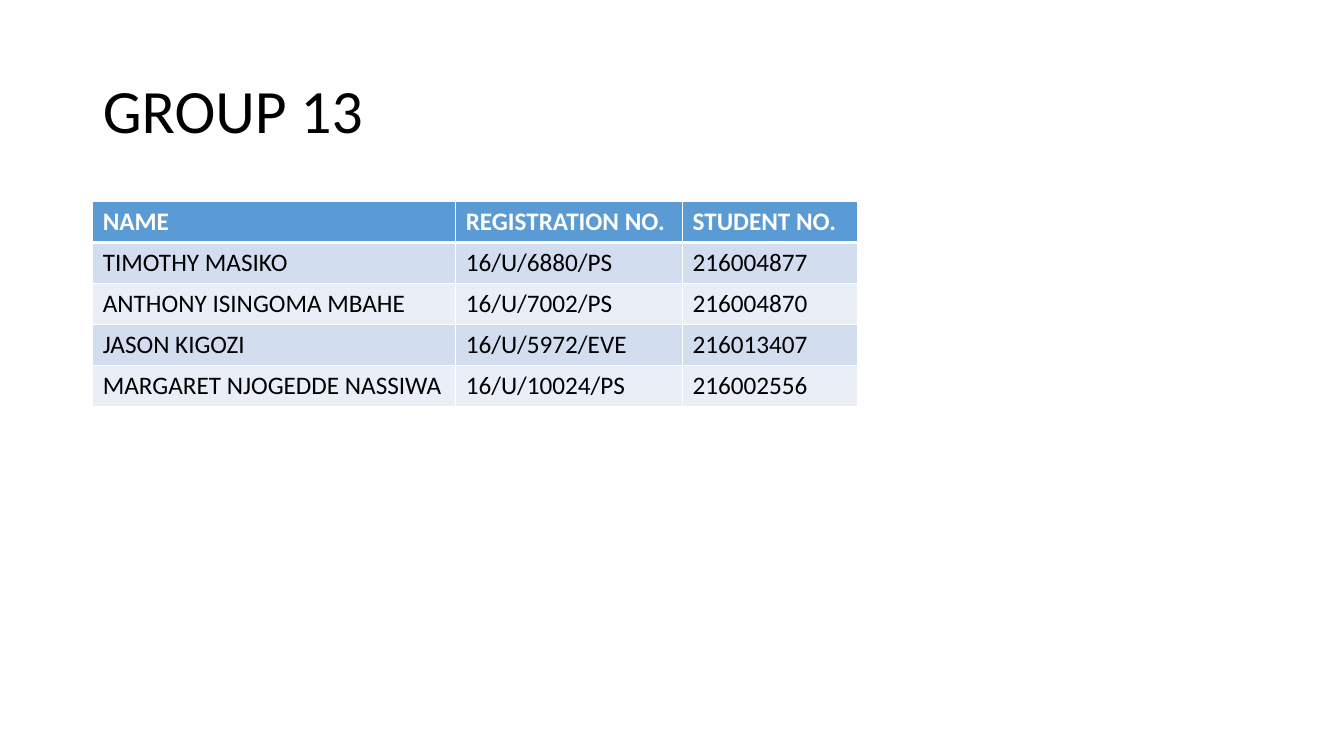
from lxml.etree import SubElement
from pptx import Presentation
from pptx.dml.color import RGBColor
from pptx.enum.text import MSO_ANCHOR, PP_ALIGN
from pptx.oxml.ns import qn
from pptx.util import Inches, Pt

FONT = "Calibri"
COLORS = {
    "text": "000000",
    "white": "FFFFFF",
    "header": "5B9BD5",
    "odd_row": "D2DEEF",
    "even_row": "EAEFF7",
}
SLIDE_WIDTH, SLIDE_HEIGHT = Inches(13.33), Inches(7.5)
LEFT_MARGIN = Inches(0.92)
COLUMN_WIDTHS = [Inches(3.6), Inches(2.25), Inches(1.74)]
ROW_HEIGHT = Inches(0.406)
MEMBERS = [
    ("NAME", "REGISTRATION NO.", "STUDENT NO."),
    ("TIMOTHY MASIKO", "16/U/6880/PS", "216004877"),
    ("ANTHONY ISINGOMA MBAHE", "16/U/7002/PS", "216004870"),
    ("JASON KIGOZI", "16/U/5972/EVE", "216013407"),
    ("MARGARET NJOGEDDE NASSIWA", "16/U/10024/PS", "216002556"),
]


def format_runs(paragraph, size, color, bold=False):
    for run in paragraph.runs:
        run.font.name = FONT
        run.font.size = Pt(size)
        run.font.bold = bold
        run.font.color.rgb = RGBColor.from_string(COLORS[color])


def add_title(slide, text):
    title = slide.shapes.title
    title.left, title.top = LEFT_MARGIN, Inches(0.4)
    title.width, title.height = SLIDE_WIDTH - 2 * LEFT_MARGIN, Inches(1.45)
    title.text_frame.text = text
    title.text_frame.word_wrap = True
    title.text_frame.vertical_anchor = MSO_ANCHOR.MIDDLE
    paragraph = title.text_frame.paragraphs[0]
    paragraph.alignment = PP_ALIGN.LEFT
    paragraph.line_spacing = 0.9
    format_runs(paragraph, 44, "text")


def set_borders(cell, bottom_width):
    """Draw white cell borders; only the bottom one varies in width (points)."""
    properties = cell._tc.get_or_add_tcPr()
    for side, width in (("L", 1), ("R", 1), ("T", 1), ("B", bottom_width)):
        line = SubElement(properties, qn(f"a:ln{side}"), w=str(Pt(width)))
        fill = SubElement(line, qn("a:solidFill"))
        SubElement(fill, qn("a:srgbClr"), val=COLORS["white"])


def fill_cell(cell, text, row_index):
    is_header = row_index == 0
    cell.text_frame.text = text
    format_runs(cell.text_frame.paragraphs[0], 18,
                "white" if is_header else "text", bold=is_header)
    # The header's rule is shared with the top of the first body row.
    set_borders(cell, 3 if is_header else 1)
    band = "header" if is_header else "odd_row" if row_index % 2 else "even_row"
    cell.fill.solid()
    cell.fill.fore_color.rgb = RGBColor.from_string(COLORS[band])


def add_member_table(slide, rows):
    table = slide.shapes.add_table(
        len(rows), len(COLUMN_WIDTHS), LEFT_MARGIN, Inches(2),
        sum(COLUMN_WIDTHS), ROW_HEIGHT * len(rows)).table
    for column, width in zip(table.columns, COLUMN_WIDTHS):
        column.width = width
    for row_index, values in enumerate(rows):
        table.rows[row_index].height = ROW_HEIGHT
        for column_index, value in enumerate(values):
            fill_cell(table.cell(row_index, column_index), value, row_index)


def main():
    presentation = Presentation()
    presentation.slide_width = SLIDE_WIDTH
    presentation.slide_height = SLIDE_HEIGHT
    slide = presentation.slides.add_slide(presentation.slide_layouts[5])
    add_title(slide, "GROUP 13")
    add_member_table(slide, MEMBERS)
    presentation.save("out.pptx")


if __name__ == "__main__":
    main()
